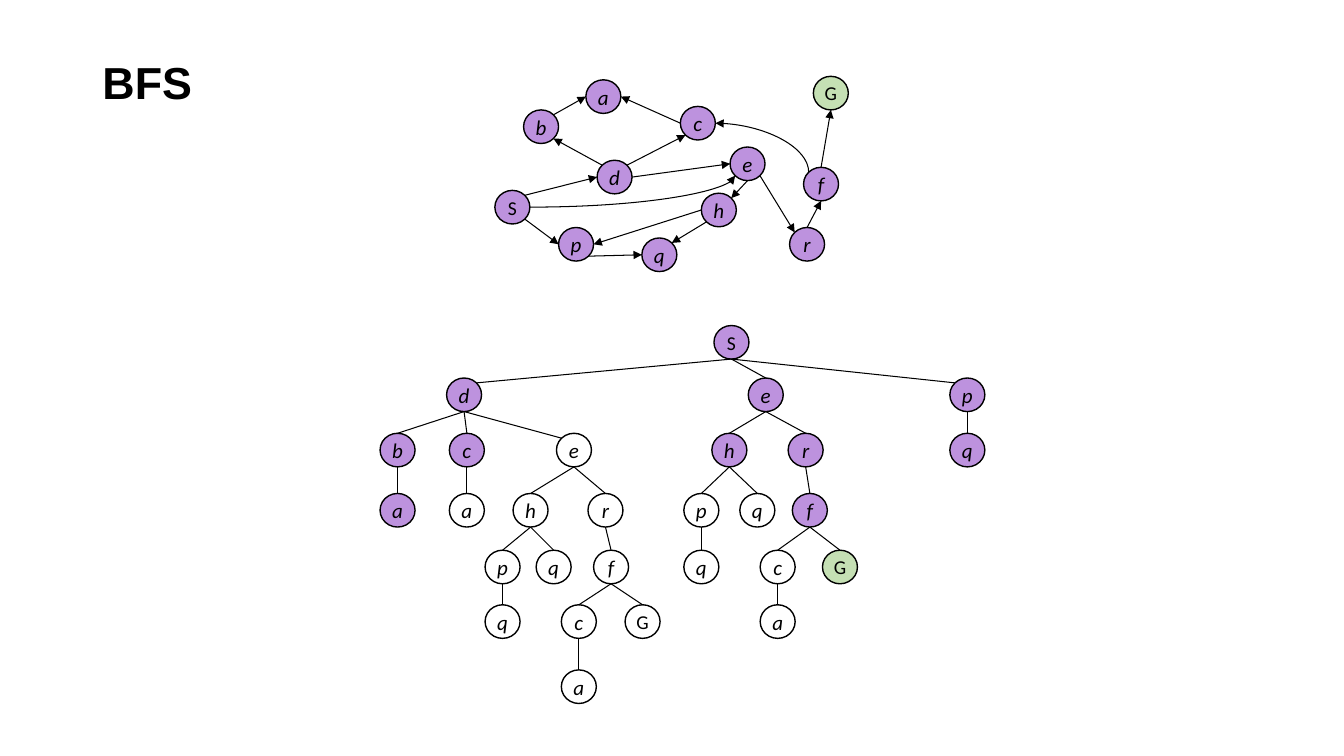
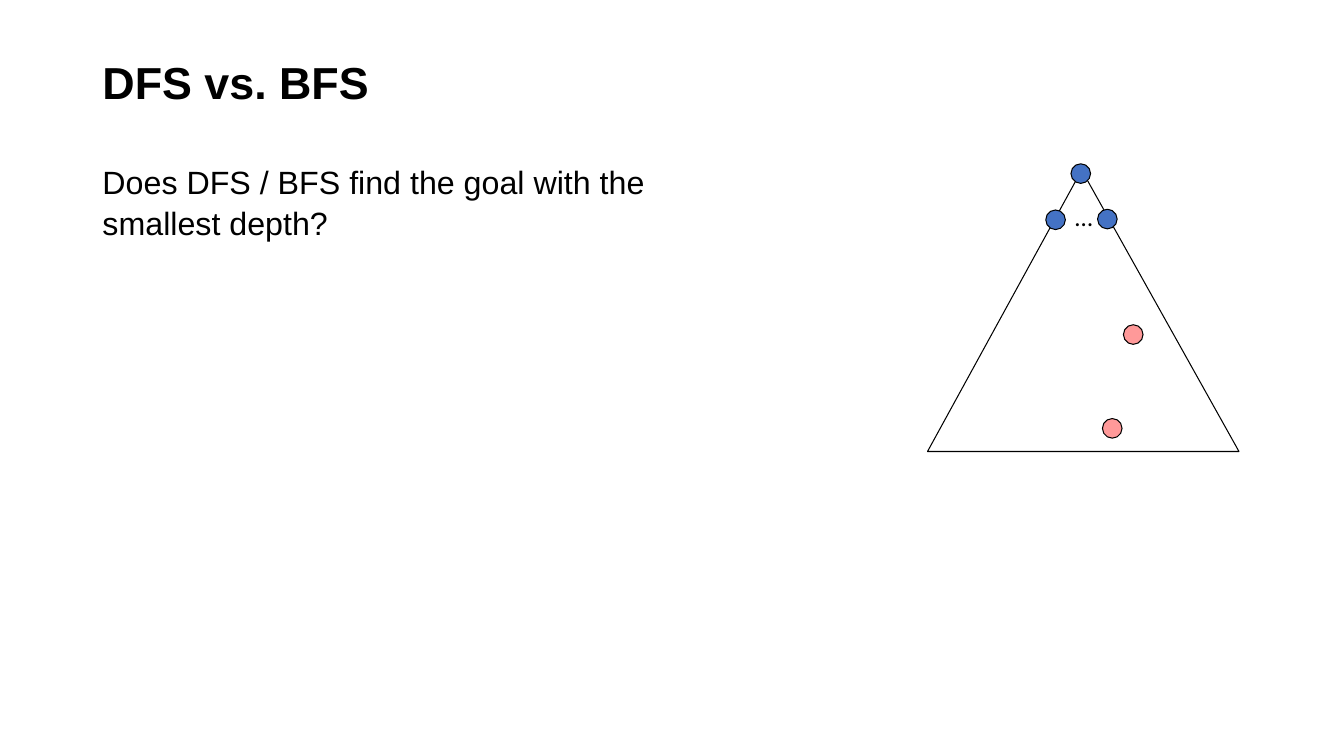
import math
from lxml import etree
from pptx import Presentation
from pptx.dml.color import RGBColor
from pptx.enum import shapes, text
from pptx.oxml.ns import qn
from pptx.util import Pt

BLACK = RGBColor(0x00, 0x00, 0x00)
PURPLE = RGBColor(0xBD, 0x92, 0xDE)
GREEN = RGBColor(0xC5, 0xE0, 0xB4)
BLUE = RGBColor(0x44, 0x72, 0xC4)
PINK = RGBColor(0xFF, 0x99, 0x99)

KIND = shapes.MSO_SHAPE
WIRE = shapes.MSO_CONNECTOR
WIDE, HIGH = 25, 24  # size of a graph node
# Connection sites of a round node, counterclockwise from the top
SITES = ["t", "tl", "l", "bl", "b", "br", "r", "tr"]


class Deck:
    """Shared style and the slide being filled."""

    def __init__(self):
        self.prs = Presentation()
        self.prs.slide_width, self.prs.slide_height = Pt(960), Pt(540)
        self.slide = None

    def start(self, title, layout):
        self.slide = self.prs.slides.add_slide(self.prs.slide_layouts[layout])
        self.fill_holder(self.slide.shapes.title, title, (66, 29, 828, 64), 32, 0.9, True)

    def fill_holder(self, shape, words, box, size, gap, bold=False):
        shape.left, shape.top, shape.width, shape.height = map(Pt, box)
        frame = shape.text_frame
        frame.text = words
        frame.auto_size = text.MSO_AUTO_SIZE.NONE
        para = frame.paragraphs[0]
        para.alignment = text.PP_ALIGN.LEFT
        para.line_spacing, para.space_before = gap, Pt(0)
        self.font(para, size, "Arial", bold=bold)

    def body(self, words, box):
        shape = self.slide.placeholders[1]
        self.fill_holder(shape, words, box, 23, 1.05)
        props = shape.text_frame.paragraphs[0]._p.get_or_add_pPr()
        props.set("marL", "0")
        props.set("indent", "0")
        etree.SubElement(props, qn("a:buNone"))

    def font(self, para, size, name="Calibri", bold=False, italic=False):
        for run in para.runs:
            font = run.font
            font.size, font.name = Pt(size), name
            font.bold, font.italic = bold, italic
            font.color.rgb = BLACK

    def shape(self, kind, box, fill=None, width=0.75):
        item = self.slide.shapes.add_shape(kind, *map(Pt, box))
        item.shadow.inherit = False
        if fill is None:
            item.fill.background()
        else:
            item.fill.solid()
            item.fill.fore_color.rgb = fill
        item.line.color.rgb = BLACK
        item.line.width = Pt(width)
        return item

    def node(self, label, x, y, fill=None):
        box = (x - WIDE / 2, y - HIGH / 2, WIDE, HIGH)
        item = self.shape(KIND.FLOWCHART_CONNECTOR, box, fill, 1)
        frame = item.text_frame
        frame.text = label
        frame.word_wrap = False
        frame.margin_left = frame.margin_right = Pt(0)
        frame.margin_top = frame.margin_bottom = Pt(0)
        frame.vertical_anchor = text.MSO_ANCHOR.MIDDLE
        para = frame.paragraphs[0]
        para.alignment = text.PP_ALIGN.CENTER
        small = label.islower()
        self.font(para, 15 if small else 14, italic=small)
        return item

    def site(self, node, name):
        turn = math.radians(90 + 45 * SITES.index(name))
        x = node.left + node.width * (1 + math.cos(turn)) / 2
        y = node.top + node.height * (1 - math.sin(turn)) / 2
        return round(x), round(y)

    def edge(self, first, out, last, into, arrow=None, curve=False):
        """Join two nodes; arrow is 'headEnd' (at first) or 'tailEnd' (at last)."""
        line = self.slide.shapes.add_connector(
            WIRE.CURVE if curve else WIRE.STRAIGHT,
            *self.site(first, out), *self.site(last, into))
        line.line.color.rgb = BLACK
        line.line.width = Pt(0.75)
        root = line._element
        if curve:
            root.spPr.find(qn("a:prstGeom")).set("prst", "curvedConnector2")
        if arrow:
            etree.SubElement(line.line._get_or_add_ln(), qn("a:" + arrow), type="triangle")
        etree.SubElement(root.spPr, qn("a:effectLst"))
        # Glue both ends to their nodes
        glue = root.find(".//" + qn("p:cNvCxnSpPr"))
        for tag, node, name in (("stCxn", first, out), ("endCxn", last, into)):
            etree.SubElement(glue, qn("a:" + tag), id=str(node.shape_id),
                             idx=str(SITES.index(name)))

    def dot(self, x, y, fill):
        self.shape(KIND.OVAL, (x - 7, y - 7, 14, 14), fill)

    def note(self, words, box):
        frame = self.slide.shapes.add_textbox(*map(Pt, box)).text_frame
        frame.text = words
        frame.word_wrap = True
        frame.margin_left = frame.margin_right = Pt(5)
        frame.margin_top = frame.margin_bottom = Pt(3)
        self.font(frame.paragraphs[0], 18)


# State graph: node centres, then edges with their sites
GRAPH = {
    "S": (366, 148), "G": (593.5, 66.5), "d": (439, 126.5), "b": (386.5, 90.5),
    "p": (411.5, 174.5), "q": (471, 182), "c": (498.5, 88), "e": (534, 117),
    "h": (513.5, 150), "a": (431, 69), "f": (586.5, 131.5), "r": (576.5, 174.5),
}
EDGES = [
    "S br p l", "p br q l", "h bl q tr", "h l p r", "e b h tr", "e br r tl",
    "r t f b", "f t G b", "S tr d l", "d tl b br", "b tr a l", "c l a r",
    "d tr c bl", "d r e l",
]

# Search tree in preorder: level, label, centre x, fill
LEVELS = [244.5, 282, 321.5, 364.5, 405, 444, 490.5]
TREE = [
    (0, "S", 522.5, PURPLE),
    (1, "d", 331.5, PURPLE),
    (2, "b", 284, PURPLE), (3, "a", 284, PURPLE),
    (2, "c", 333.5, PURPLE), (3, "a", 333.5, None),
    (2, "e", 410, None),
    (3, "h", 379, None), (4, "p", 359, None), (5, "q", 359, None),
    (4, "q", 395.5, None),
    (3, "r", 432.5, None), (4, "f", 436.5, None),
    (5, "c", 413.5, None), (6, "a", 413.5, None), (5, "G", 459, None),
    (1, "e", 547, PURPLE),
    (2, "h", 521, PURPLE), (3, "p", 501, None), (4, "q", 501, None),
    (3, "q", 541, None),
    (2, "r", 575.5, PURPLE), (3, "f", 578.5, PURPLE),
    (4, "c", 555.5, None), (5, "a", 555.5, None), (4, "G", 600, GREEN),
    (1, "p", 691, PURPLE), (2, "q", 691, PURPLE),
]


def draw_graph(deck):
    nodes = {key: deck.node(key, *spot, GREEN if key == "G" else PURPLE)
             for key, spot in GRAPH.items()}
    for edge in EDGES:
        first, out, last, into = edge.split()
        deck.edge(nodes[first], out, nodes[last], into, "tailEnd")
    deck.edge(nodes["S"], "r", nodes["e"], "bl", "tailEnd", curve=True)
    deck.edge(nodes["c"], "r", nodes["f"], "tl", "headEnd", curve=True)


def draw_tree(deck):
    trail = {}  # latest node on each level
    for level, label, x, fill in TREE:
        child = trail[level] = deck.node(label, x, LEVELS[level], fill)
        if level:
            boss = trail[level - 1]
            shift = child.left - boss.left
            # Distant children are joined at the corner facing the parent
            into = "t" if abs(shift) < Pt(60) else "tl" if shift > 0 else "tr"
            deck.edge(boss, "b", child, into)


def main():
    deck = Deck()

    # Slide 1: graph and its search tree
    deck.start("BFS", 5)
    draw_graph(deck)
    draw_tree(deck)

    # Slide 2: question and search triangle
    deck.start("DFS vs. BFS", 1)
    deck.body("Does DFS / BFS find the goal with the smallest depth?",
              (66, 111, 443.5, 212.5))
    cone = deck.shape(KIND.ISOSCELES_TRIANGLE, (662.5, 121.5, 222.5, 201))
    cone.adjustments[0] = 0.495
    for x, y, fill in ((772, 124, BLUE), (754, 157, BLUE), (791, 156.5, BLUE),
                       (809.5, 239, PINK), (794.5, 306, PINK)):
        deck.dot(x, y, fill)
    deck.note("…", (763, 140.5, 24, 24.5))

    deck.prs.save("out.pptx")


if __name__ == "__main__":
    main()
